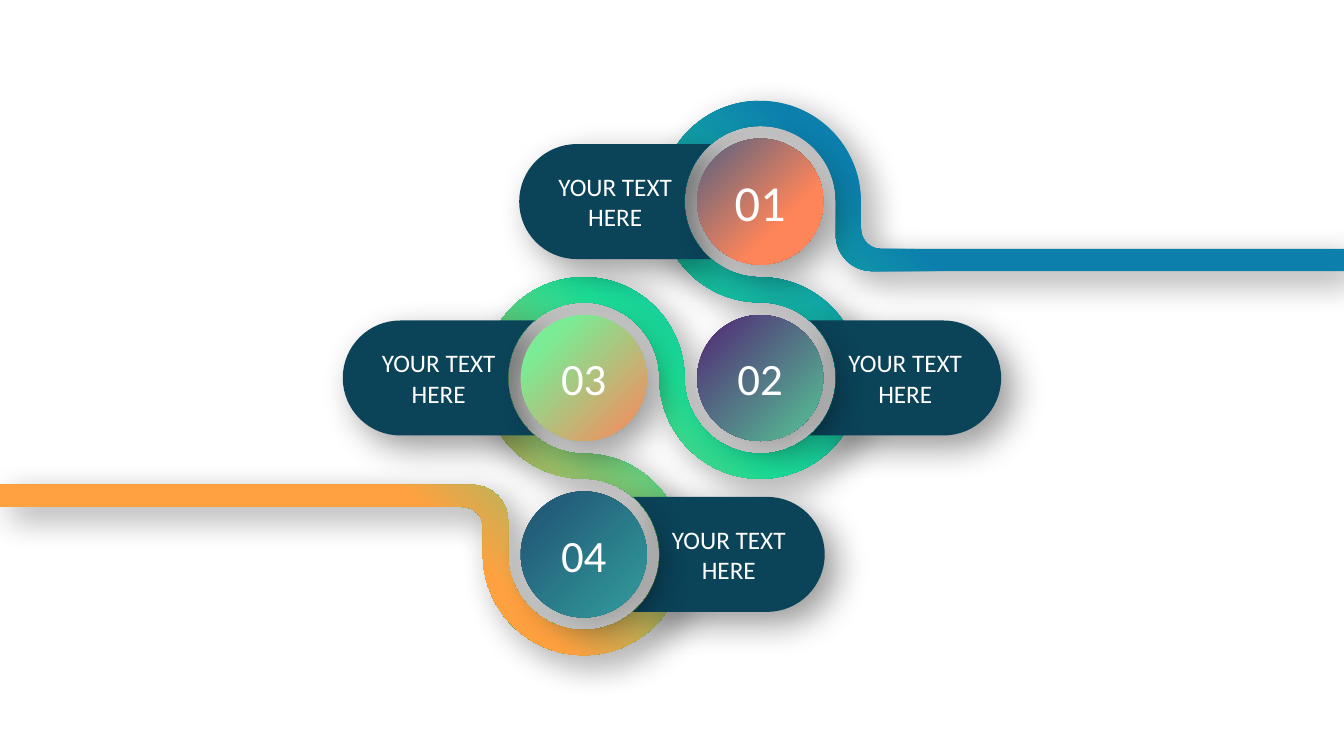
from math import asin, ceil, cos, degrees, radians, sin, tan

from lxml import etree
from pptx import Presentation
from pptx.dml.color import RGBColor
from pptx.enum.shapes import MSO_SHAPE
from pptx.enum.text import MSO_ANCHOR, PP_ALIGN
from pptx.oxml import parse_xml
from pptx.oxml.ns import qn
from pptx.util import Inches, Pt

OVAL = MSO_SHAPE.OVAL
CENTER, MIDDLE = PP_ALIGN.CENTER, MSO_ANCHOR.MIDDLE
DRAWING_NS = "http://schemas.openxmlformats.org/drawingml/2006/main"

WHITE = RGBColor(0xFF, 0xFF, 0xFF)
NAVY = RGBColor(0x0B, 0x43, 0x59)
BLUE = RGBColor(0x0C, 0x7F, 0xAD)
GREEN = RGBColor(0x1B, 0xDD, 0x96)
ORANGE = RGBColor(0xFF, 0xA1, 0x40)
CORAL = RGBColor(0xFE, 0x85, 0x5A)
SLATE = RGBColor(0x53, 0x60, 0x81)
MINT = RGBColor(0x56, 0xC5, 0x96)
PURPLE = RGBColor(0x51, 0x25, 0x75)
LIME = RGBColor(0x7B, 0xEC, 0x95)
TEAL = RGBColor(0x32, 0x9D, 0x9C)
DEEP_BLUE = RGBColor(0x20, 0x50, 0x72)

WIDTH, HEIGHT = 13.33, 7.5
INNER, OUTER = 0.75, 1.0  # radii of the ribbon's edges
STEP = INNER + OUTER  # distance between neighbouring circles
COLUMNS = [WIDTH / 2 + STEP * share for share in (-0.5, 0.5)]
ROWS = [HEIGHT / 2 + STEP * share for share in (-1, 0, 1)]
CIRCLE_SIZE = 1.25
PILL_RADIUS, PILL_REACH = 0.57, 2.39

LINEAR = '<a:lin ang="8100000" scaled="0"/>'
FROM_CORNER = '<a:path path="circle"><a:fillToRect l="100000" t="100000"/></a:path>'

# number, column, row, side of the pill, number size, gradient stops
STEPS = [
    ("01", 1, 0, -1, 36, [(33, CORAL), (100, SLATE)]),
    ("02", 1, 1, 1, 32, [(0, MINT), (100, PURPLE)]),
    ("03", 0, 1, -1, 32, [(0, CORAL), (79, LIME)]),
    ("04", 0, 2, 1, 32, [(0, TEAL), (100, DEEP_BLUE)]),
]


def arc(center_x, center_y, radius, start, end):
    """A line to the start, then one cubic curve for each quarter turn or less."""
    count = ceil(abs(end - start) / 90)
    turn = radians(end - start) / count
    handle = 4 / 3 * tan(turn / 4)

    def point(angle, pull=0.0):
        return (center_x + radius * (cos(angle) - pull * sin(angle)),
                center_y + radius * (sin(angle) + pull * cos(angle)))

    angles = [radians(start) + turn * i for i in range(count + 1)]
    curves = [(point(a, handle), point(b, -handle), point(b))
              for a, b in zip(angles, angles[1:])]
    return [(point(angles[0]),), *curves]


def ribbon_segments():
    """One half of the ribbon, then the same half turned about the slide's centre."""
    left, right = COLUMNS
    top, middle, bottom = ROWS
    half = [
        *arc(right, top, OUTER, 270, 360),
        *arc(right + OUTER + 0.2, top + 0.27, 0.2, 180, 90),
        ((WIDTH, top + 0.47),),
        ((WIDTH, top + 0.69),),
        *arc(right + INNER + 0.36, top + 0.33, 0.36, 90, 180),
        *arc(right, top, INNER, 360, 90),
        *arc(right, middle, OUTER, 270, 540),
        *arc(left, middle, INNER, 360, 90),
        *arc(left, bottom, OUTER, 270, 450),
    ]
    return half + [tuple((WIDTH - x, HEIGHT - y) for x, y in segment) for segment in half]


def pill_segments(x, y, side):
    bite = degrees(asin(PILL_RADIUS / INNER))
    outline = arc(PILL_REACH - PILL_RADIUS, 0, PILL_RADIUS, -90, 90)
    outline += arc(0, 0, INNER, bite, -bite)
    return [tuple((x + side * dx, y + dy) for dx, dy in segment) for segment in outline]


def add_outline(shapes, segments):
    """Draw segments of one point as lines and of three points as cubic curves."""
    start, *rest = [(Inches(x), Inches(y)) for segment in segments for x, y in segment]
    builder = shapes.build_freeform(*start)
    builder.add_line_segments(rest, close=True)
    shape = builder.convert_to_shape()
    outline = next(shape._element.spPr.iter(qn("a:path")))
    lines = iter(outline.findall(qn("a:lnTo")))
    for segment in segments[1:]:
        pieces = [next(lines) for _ in segment]
        if len(pieces) == 3:
            curve = etree.Element(qn("a:cubicBezTo"))
            pieces[0].addprevious(curve)
            for piece in pieces:
                curve.append(piece[0])
                outline.remove(piece)
    return shape


def style_shape(shape):
    """Drop the outline and cast a soft shadow to the lower right."""
    shape.line.fill.background()
    shape.shadow.inherit = False
    effects = shape._element.spPr.find(qn("a:effectLst"))
    effects.append(parse_xml(
        f'<a:outerShdw xmlns:a="{DRAWING_NS}" blurRad="{Pt(25)}" dist="{Pt(12)}" '
        'dir="2700000" algn="tl" rotWithShape="0"><a:srgbClr val="000000">'
        '<a:alpha val="40000"/></a:srgbClr></a:outerShdw>'))


def fill_gradient(shape, stops, direction):
    shape.fill.gradient()
    gradient = shape._element.spPr.find(qn("a:gradFill"))
    for child in list(gradient):
        gradient.remove(child)
    stop_list = etree.SubElement(gradient, qn("a:gsLst"))
    for position, color in stops:
        stop = etree.SubElement(stop_list, qn("a:gs"), pos=str(position * 1000))
        etree.SubElement(stop, qn("a:srgbClr"), val=str(color))
    gradient.append(parse_xml(direction.replace(" ", f' xmlns:a="{DRAWING_NS}" ', 1)))


def write_text(shape, text, size, inset):
    frame = shape.text_frame
    frame_format = {"word_wrap": True, "vertical_anchor": MIDDLE,
                    "margin_left": Inches(inset), "margin_right": Inches(inset)}
    for name, value in frame_format.items():
        setattr(frame, name, value)
    paragraph = frame.paragraphs[0]
    paragraph.alignment = CENTER
    run = paragraph.add_run()
    run.text = text
    for name, value in {"name": "Calibri", "size": Pt(size)}.items():
        setattr(run.font, name, value)
    run.font.color.rgb = WHITE


def add_ribbon(slide):
    ribbon = add_outline(slide.shapes, ribbon_segments())
    fill_gradient(ribbon, [(30, BLUE), (50, GREEN), (70, ORANGE)], LINEAR)
    style_shape(ribbon)


def add_step(slide, number, column, row, side, size, stops):
    """A labelled pill with its numbered circle."""
    x, y = COLUMNS[column], ROWS[row]
    shapes = slide.shapes.add_group_shape().shapes

    pill = add_outline(shapes, pill_segments(x, y, side))
    pill.fill.solid()
    pill.fill.fore_color.rgb = NAVY
    style_shape(pill)
    write_text(pill, "YOUR TEXT HERE", 18, 0.2)

    circle = shapes.add_shape(OVAL, Inches(x - CIRCLE_SIZE / 2), Inches(y - CIRCLE_SIZE / 2),
                              Inches(CIRCLE_SIZE), Inches(CIRCLE_SIZE))
    fill_gradient(circle, stops, FROM_CORNER)
    style_shape(circle)
    write_text(circle, number, size, 0.1)


def main():
    presentation = Presentation()
    presentation.slide_width = Inches(WIDTH)
    presentation.slide_height = Inches(HEIGHT)
    slide = presentation.slides.add_slide(presentation.slide_layouts[6])
    add_ribbon(slide)
    for step in STEPS:
        add_step(slide, *step)
    presentation.save("out.pptx")


if __name__ == "__main__":
    main()
